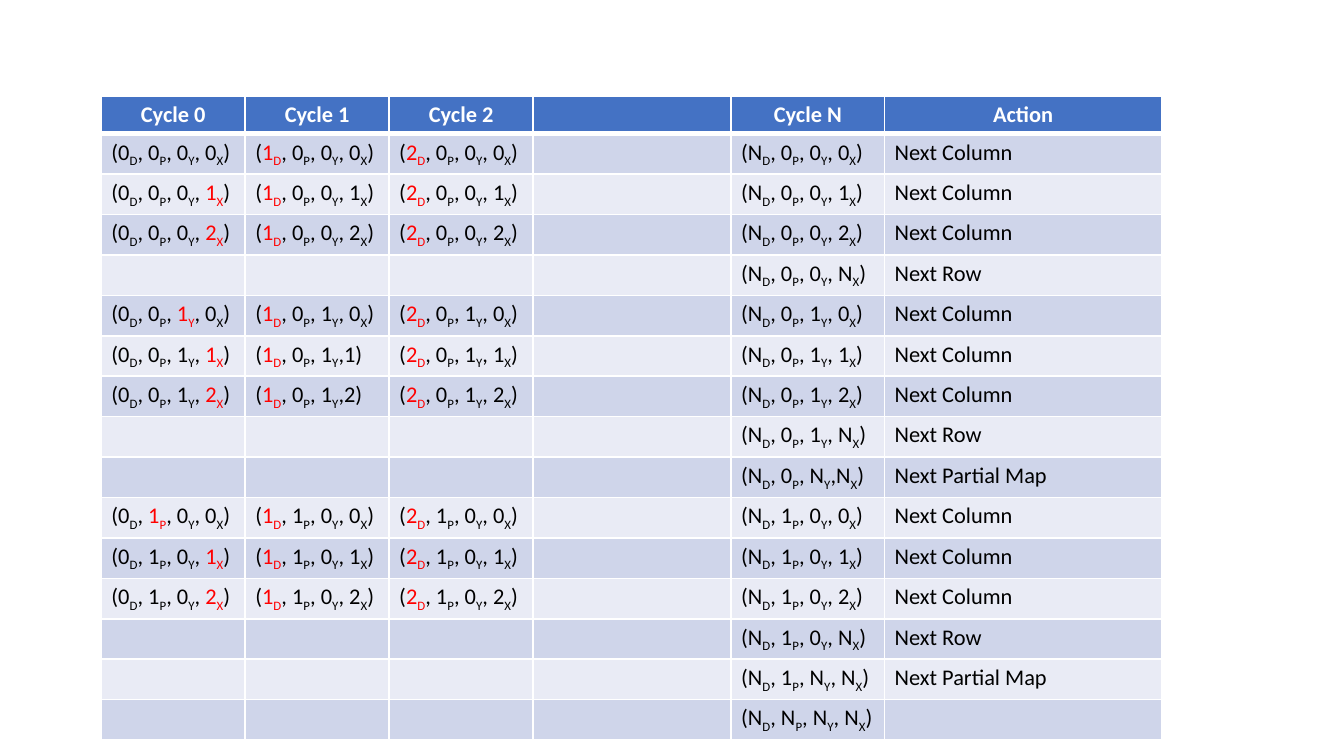
from itertools import groupby

from lxml import etree
from pptx import Presentation
from pptx.dml.color import RGBColor
from pptx.enum.text import PP_ALIGN
from pptx.oxml.ns import qn
from pptx.util import Inches, Pt

LEFT, CENTER = PP_ALIGN.LEFT, PP_ALIGN.CENTER
BLANK_LAYOUT = 6
AXES = "DPYX"  # depth, partial map, row, column
RED_MARK = "*"  # the value after it, with its subscript, is red

HEADINGS = ["Cycle 0", "Cycle 1", "Cycle 2", "", "Cycle N", "Action"]
COLUMN_PERCENTS = [10.71, 10.71, 10.71, 14.73, 11.43, 20.6]
COLUMN, ROW, PARTIAL_MAP = "Next Column", "Next Row", "Next Partial Map"

# Partial map, row and column indices, the axis that just advanced, and the action
STEPS = [
    ("000", "", COLUMN),
    ("001", "X", COLUMN),
    ("002", "X", COLUMN),
    ("00N", "", ROW),
    ("010", "Y", COLUMN),
    ("011", "X", COLUMN),
    ("012", "X", COLUMN),
    ("01N", "", ROW),
    ("0NN", "", PARTIAL_MAP),
    ("100", "P", COLUMN),
    ("101", "X", COLUMN),
    ("102", "X", COLUMN),
    ("10N", "", ROW),
    ("1NN", "", PARTIAL_MAP),
    ("NNN", "", ""),
]
# Coordinates written differently from the rest
IRREGULAR = {
    "(*1D, 0P, 1Y, 1X)": "(*1D, 0P, 1Y,1)",
    "(*1D, 0P, 1Y, 2X)": "(*1D, 0P, 1Y,2)",
    "(ND, 0P, NY, NX)": "(ND, 0P, NY,NX)",
}


def color(hex_string):
    return RGBColor.from_string(hex_string)


def coordinate(depth, indices, advanced):
    values = zip(depth + indices, AXES)
    parts = [(RED_MARK if axis == advanced else "") + value + axis
             for value, axis in values]
    plain = f"({', '.join(parts)})"
    return IRREGULAR.get(plain, plain)


def step_row(indices, advanced, action):
    """Only steps that stay inside every axis show their first cycles."""
    cycles = ["", "", ""]
    if "N" not in indices:
        cycles = [coordinate("0", indices, advanced),
                  coordinate("1", indices, "D"),
                  coordinate("2", indices, "D")]
    return cycles + ["", coordinate("N", indices, ""), action]


def styled_pieces(markup):
    """Split coordinate markup into (text, is_subscript, is_red)."""
    letters, red = [], False
    for letter in markup:
        if letter == RED_MARK:
            red = True
            continue
        subscript = letter in AXES
        letters.append((letter, subscript, red))
        red = red and not subscript
    for (subscript, red), group in groupby(letters, key=lambda item: item[1:]):
        yield "".join(item[0] for item in group), subscript, red


def write(paragraph, text, *, font="Calibri", size=12, ink="000000",
          bold=False, subscript=False):
    run = paragraph.add_run()
    run.text = text
    run.font.name = font
    run.font.size = Pt(size)
    run.font.bold = bold
    run.font.color.rgb = color(ink)
    if subscript:
        run.font._element.set("baseline", "-25000")


class Deck:
    HEADER_FILL = "4472C4"
    BAND_FILLS = ("E9EBF5", "CFD5EA")
    LINE, ACCENT = "FFFFFF", "FF0000"
    SIZE = 12
    SIDE_MARGIN, END_MARGIN = Pt(5.4), Pt(2.7)

    def __init__(self, width):
        """Open a deck with one blank 16:9 slide."""
        self.presentation = Presentation()
        self.width = Inches(width)
        self.height = self.width * 9 // 16
        self.presentation.slide_width = self.width
        self.presentation.slide_height = self.height
        layout = self.presentation.slide_layouts[BLANK_LAYOUT]
        self.slide = self.presentation.slides.add_slide(layout)

    def table(self, rows, left, top, column_percents, row_percent):
        """Place a table; every length is a percentage of the slide's size."""
        widths = [round(percent * self.width / 100) for percent in column_percents]
        row_height = round(row_percent * self.height / 100)
        table = self.slide.shapes.add_table(
            len(rows), len(widths),
            round(left * self.width / 100), round(top * self.height / 100),
            sum(widths), len(rows) * row_height).table
        for column, width in zip(table.columns, widths):
            column.width = width
        for row_number, texts in enumerate(rows):
            table.rows[row_number].height = row_height
            for column_number, text in enumerate(texts):
                self.cell(table.cell(row_number, column_number), text, row_number)

    def cell(self, cell, text, row_number):
        header = row_number == 0
        cell.margin_left = cell.margin_right = self.SIDE_MARGIN
        cell.margin_top = cell.margin_bottom = self.END_MARGIN
        cell.fill.solid()
        cell.fill.fore_color.rgb = color(
            self.HEADER_FILL if header else self.BAND_FILLS[row_number % 2])
        self.borders(cell, header)

        paragraph = cell.text_frame.paragraphs[0]
        paragraph.alignment = CENTER if header else LEFT
        if not text:
            etree.SubElement(paragraph._p, qn("a:endParaRPr"), sz=str(self.SIZE * 100))
        elif header:
            write(paragraph, text, size=self.SIZE, ink=self.LINE, bold=True)
        elif text.startswith("("):
            for piece, subscript, red in styled_pieces(text):
                write(paragraph, piece, size=self.SIZE, subscript=subscript,
                      ink=self.ACCENT if red else "000000")
        else:
            write(paragraph, text, size=self.SIZE)

    def borders(self, cell, header):
        """Draw white sides; a body cell's top is the bottom of the cell above."""
        widths = {"L": 1, "R": 1}
        widths.update({"T": 1, "B": 3} if header else {"B": 1})
        properties = cell._tc.get_or_add_tcPr()
        for position, (side, width) in enumerate(widths.items()):
            line = etree.Element(qn(f"a:ln{side}"), w=str(Pt(width)))
            fill = etree.SubElement(line, qn("a:solidFill"))
            etree.SubElement(fill, qn("a:srgbClr"), val=self.LINE)
            properties.insert(position, line)


def main():
    deck = Deck(width=10)
    rows = [HEADINGS] + [step_row(*step) for step in STEPS]
    deck.table(rows, left=7.54, top=12.7,
               column_percents=COLUMN_PERCENTS, row_percent=4.99)
    deck.presentation.save("out.pptx")


if __name__ == "__main__":
    main()
